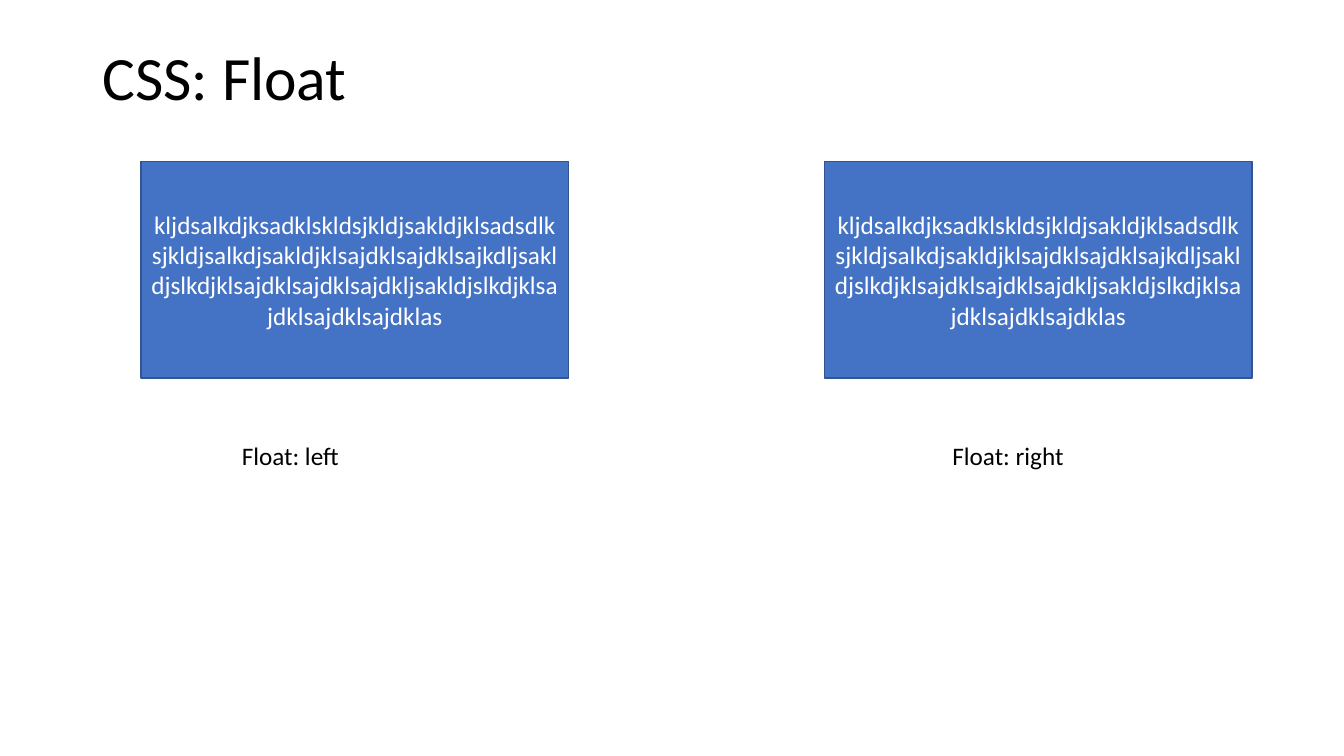
from dataclasses import dataclass

from pptx import Presentation
from pptx.dml.color import RGBColor
from pptx.enum.shapes import MSO_SHAPE
from pptx.enum.text import MSO_ANCHOR, MSO_AUTO_SIZE, PP_ALIGN
from pptx.slide import Slide
from pptx.text.text import TextFrame
from pptx.util import Pt


@dataclass(frozen=True)
class Theme:
    font: str = "Calibri"
    title_size: float = 44
    body_size: float = 18
    ink: RGBColor = RGBColor(0, 0, 0)
    paper: RGBColor = RGBColor(255, 255, 255)
    box_fill: RGBColor = RGBColor(0x44, 0x72, 0xC4)
    box_line: RGBColor = RGBColor(0x32, 0x54, 0x91)


@dataclass(frozen=True)
class FloatExample:
    caption: str
    box_left: float
    caption_left: float
    caption_width: float


THEME = Theme()
BOX_TOP, BOX_WIDTH, BOX_HEIGHT = 115.2, 305.3, 154.8
CAPTION_TOP, CAPTION_HEIGHT = 311, 29
FILLER = (
    "kljdsalkdjksadklskldsjkldjsakldjklsadsdlk"
    "sjkldjsalkdjsakldjklsajdklsajdklsajkdljsakl"
    "djslkdjklsajdklsajdklsajdkljsakldjslkdjklsa"
    "jdklsajdklsajdklas"
)
EXAMPLES = (
    FloatExample("Float: left", 100.8, 165.6, 85),
    FloatExample("Float: right", 589, 673.2, 95),
)


def write(tf: TextFrame, text: str, size: float, color: RGBColor) -> None:
    p = tf.paragraphs[0]
    p.text = text
    p.font.name = THEME.font
    p.font.size = Pt(size)
    p.font.color.rgb = color


def add_title(s: Slide, text: str) -> None:
    tf = s.shapes.add_textbox(Pt(66), Pt(28.8), Pt(828), Pt(57)).text_frame
    tf.word_wrap = True
    tf.vertical_anchor = MSO_ANCHOR.MIDDLE
    write(tf, text, THEME.title_size, THEME.ink)
    tf.paragraphs[0].line_spacing = 0.9


def add_box(s: Slide, example: FloatExample) -> None:
    sp = s.shapes.add_shape(
        MSO_SHAPE.RECTANGLE,
        Pt(example.box_left), Pt(BOX_TOP), Pt(BOX_WIDTH), Pt(BOX_HEIGHT),
    )
    sp.shadow.inherit = False
    sp.fill.solid()
    sp.fill.fore_color.rgb = THEME.box_fill
    sp.line.color.rgb = THEME.box_line
    sp.line.width = Pt(1)
    tf = sp.text_frame
    tf.word_wrap = True
    tf.vertical_anchor = MSO_ANCHOR.MIDDLE
    write(tf, FILLER, THEME.body_size, THEME.paper)
    tf.paragraphs[0].alignment = PP_ALIGN.CENTER


def add_caption(s: Slide, example: FloatExample) -> None:
    tf = s.shapes.add_textbox(
        Pt(example.caption_left), Pt(CAPTION_TOP),
        Pt(example.caption_width), Pt(CAPTION_HEIGHT),
    ).text_frame
    tf.word_wrap = False
    tf.auto_size = MSO_AUTO_SIZE.SHAPE_TO_FIT_TEXT
    write(tf, example.caption, THEME.body_size, THEME.ink)


prs = Presentation()
prs.slide_width, prs.slide_height = Pt(960), Pt(540)
s = prs.slides.add_slide(prs.slide_layouts[6])
add_title(s, "CSS: Float")
for draw in (add_box, add_caption):
    for example in EXAMPLES:
        draw(s, example)
prs.save("out.pptx")
